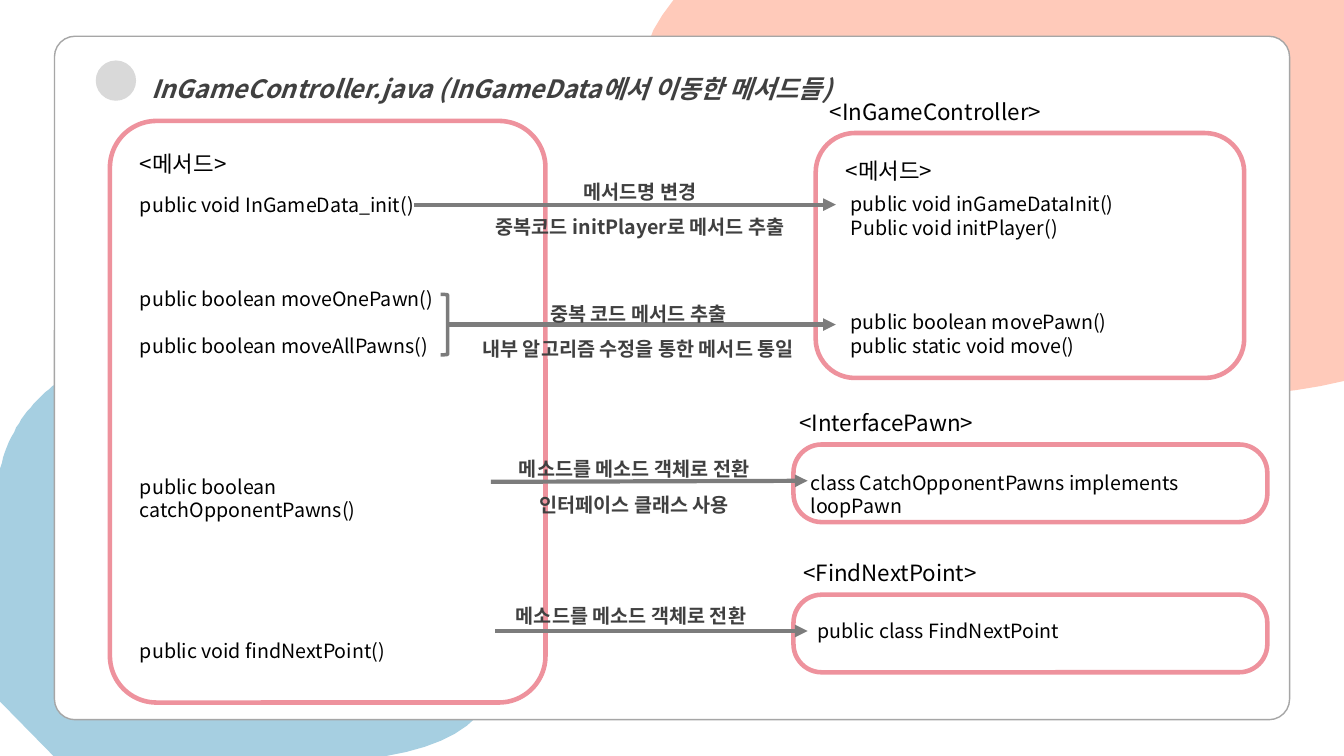
import pptx
import pptx.util
from lxml import etree
from pptx.dml.color import RGBColor
from pptx.enum.shapes import MSO_CONNECTOR, MSO_SHAPE
from pptx.enum.text import MSO_ANCHOR, MSO_AUTO_SIZE, PP_ALIGN
from pptx.oxml.ns import qn

PX = 9144
FONT = "Noto Sans CJK KR"
LINE_PT = 16.8

WHITE = RGBColor(0xFF, 0xFF, 0xFF)
BLACK = RGBColor(0, 0, 0)
DARK = RGBColor(0x40, 0x40, 0x40)
PEACH = RGBColor(0xFF, 0xCA, 0xBA)
BLUE = RGBColor(0xA6, 0xCF, 0xE1)
PINK = RGBColor(0xEE, 0x92, 0x9D)
GRAY = RGBColor(0x7C, 0x7C, 0x7C)
CARD_EDGE = RGBColor(0xA6, 0xA6, 0xA6)
DOT = RGBColor(0xD9, 0xD9, 0xD9)

PEACH_BLOB = [(1333, 0), [(1333, 378)], [(1032, 457), (504, 200), (668, 0)]]
BLUE_BLOB = [
    (137, 361),
    [(344, 367), (668, 703), (383, 750)],
    [(53, 750)],
    [(0, 696)],
    [(0, 465)],
    [(21, 388), (73, 359), (137, 361)],
]

PANELS = [
    ((109, 120, 432, 577), 0.107),
    ((809, 132, 425, 243), 0.16),
    ((787, 441, 470, 77), 0.363),
    ((787, 590, 470, 77), 0.363),
]

HEADINGS = [
    ((129, 144, 140, 37), "<메서드>"),
    ((829, 151, 140, 37), "<메서드>"),
    ((813, 92, 258, 37), "<InGameController>"),
    ((783, 401, 258, 37), "<InterfacePawn>"),
    ((787, 550, 258, 37), "<FindNextPoint>"),
]

METHOD_LISTS = [
    ((129, 186, 366, 481), [
        ("public void InGameData_init()", 0),
        ("public boolean moveOnePawn()", 3),
        ("public boolean moveAllPawns()", 1),
        ("public boolean catchOpponentPawns()", 5),
        ("public void findNextPoint()", 5),
    ]),
    ((834, 186, 366, 246), [
        ("public void inGameDataInit()", 0),
        ("Public void initPlayer()", 0),
        ("public boolean movePawn()", 3),
        ("public static void move()", 0),
    ]),
    ((794, 462, 470, 34), [("class CatchOpponentPawns implements loopPawn", 0)]),
    ((801, 609, 470, 34), [("public class FindNextPoint", 0)]),
]

ARROWS = [
    ((411, 203), (829, 203)),
    ((444, 322), (829, 322)),
    ((487, 478), (801, 477)),
    ((491, 626), (801, 626)),
]

CHANGE_NOTES = [
    ((411, 162, 448, 76), ["메서드명 변경", "중복코드 initPlayer로 메서드 추출"]),
    ((409, 283, 448, 76), ["중복 코드 메서드 추출", "내부 알고리즘 수정을 통한 메서드 통일"]),
    ((405, 437, 448, 76), ["메소드를 메소드 객체로 전환", "인터페이스 클래스 사용"]),
    ((402, 583, 448, 41), ["메소드를 메소드 객체로 전환"]),
]


def emu(lengths):
    return [length * PX for length in lengths]


def paint(shape, fill=None, edge=None, width=1):
    shape.shadow.inherit = False
    if fill is None:
        shape.fill.background()
    else:
        shape.fill.solid()
        shape.fill.fore_color.rgb = fill
    if edge is None:
        shape.line.fill.background()
    else:
        shape.line.color.rgb = edge
        shape.line.width = pptx.util.Pt(width)


def add_preset(slide, kind, box, adjustment=None, **look):
    shape = slide.shapes.add_shape(kind, *emu(box))
    if adjustment is not None:
        shape.adjustments[0] = adjustment
    paint(shape, **look)
    return shape


def curve_points(start, controls, steps=40):
    a, b, c, d = [start, *controls]
    for step in range(1, steps + 1):
        t = step / steps
        u = 1 - t
        yield tuple(
            u**3 * a[i] + 3 * u * u * t * b[i] + 3 * u * t * t * c[i] + t**3 * d[i]
            for i in (0, 1)
        )


def add_blob(slide, outline, color):
    start, *segments = outline
    points = [start]
    for segment in segments:
        points += curve_points(points[-1], segment) if len(segment) == 3 else segment
    builder = slide.shapes.build_freeform(*start, scale=PX)
    builder.add_line_segments(points[1:], close=True)
    paint(builder.convert_to_shape(), fill=color)


def write(frame, lines, size, color=BLACK, bold=False, italic=False,
          align=PP_ALIGN.LEFT, spacing=None):
    frame.word_wrap = True
    frame.auto_size = MSO_AUTO_SIZE.NONE
    frame.vertical_anchor = MSO_ANCHOR.TOP
    for index, (text, gap_lines) in enumerate(lines):
        paragraph = frame.add_paragraph() if index else frame.paragraphs[0]
        paragraph.text = text
        paragraph.alignment = align
        paragraph.line_spacing = spacing
        paragraph.space_before = pptx.util.Pt(gap_lines * LINE_PT)
        font = paragraph.font
        font.size = pptx.util.Pt(size)
        font.bold = bold
        font.italic = italic
        font.color.rgb = color
        font.name = FONT
        defaults = paragraph._p.pPr.find(qn("a:defRPr"))
        etree.SubElement(defaults, qn("a:ea"), typeface=FONT)


def add_text(slide, box, lines, size, **style):
    write(slide.shapes.add_textbox(*emu(box)).text_frame, lines, size, **style)


def add_arrow(slide, start, end):
    arrow = slide.shapes.add_connector(MSO_CONNECTOR.STRAIGHT, *emu(start + end))
    arrow.line.color.rgb = GRAY
    arrow.line.width = pptx.util.Pt(3)
    etree.SubElement(arrow.line._get_or_add_ln(), qn("a:tailEnd"), type="triangle")
    etree.SubElement(arrow.element.spPr, qn("a:effectLst"))


def place_title(slide, box, text):
    title = slide.shapes.title
    title.left, title.top, title.width, title.height = emu(box)
    write(title.text_frame, [(text, 0)], 18, color=DARK, bold=True, italic=True, spacing=1.5)
    title.element.getparent().append(title.element)


def main():
    deck = pptx.Presentation()
    deck.slide_width, deck.slide_height = emu((1333, 750))
    slide = deck.slides.add_slide(deck.slide_layouts[5])

    add_blob(slide, PEACH_BLOB, PEACH)
    add_blob(slide, BLUE_BLOB, BLUE)
    add_preset(slide, MSO_SHAPE.ROUNDED_RECTANGLE, (54, 36, 1225, 678), 0.03,
               fill=WHITE, edge=CARD_EDGE)
    place_title(slide, (140, 53, 773, 50),
                "InGameController.java (InGameData에서 이동한 메서드들)")
    add_preset(slide, MSO_SHAPE.OVAL, (95, 60, 40, 40), fill=DOT)

    for box, rounding in PANELS:
        add_preset(slide, MSO_SHAPE.ROUNDED_RECTANGLE, box, rounding, edge=PINK, width=3.25)
    for box, heading in HEADINGS:
        add_text(slide, box, [(heading, 0)], 16)
    for box, methods in METHOD_LISTS:
        add_text(slide, box, methods, 14)

    bracket = add_preset(slide, MSO_SHAPE.LEFT_BRACKET, (437, 292, 7, 60), edge=GRAY, width=2.5)
    bracket.rotation = 180
    for start, end in ARROWS:
        add_arrow(slide, start, end)
    for box, notes in CHANGE_NOTES:
        add_text(slide, box, [(note, 0) for note in notes], 14, color=DARK, bold=True,
                 align=PP_ALIGN.CENTER, spacing=1.5)

    deck.save("out.pptx")


if __name__ == "__main__":
    main()
